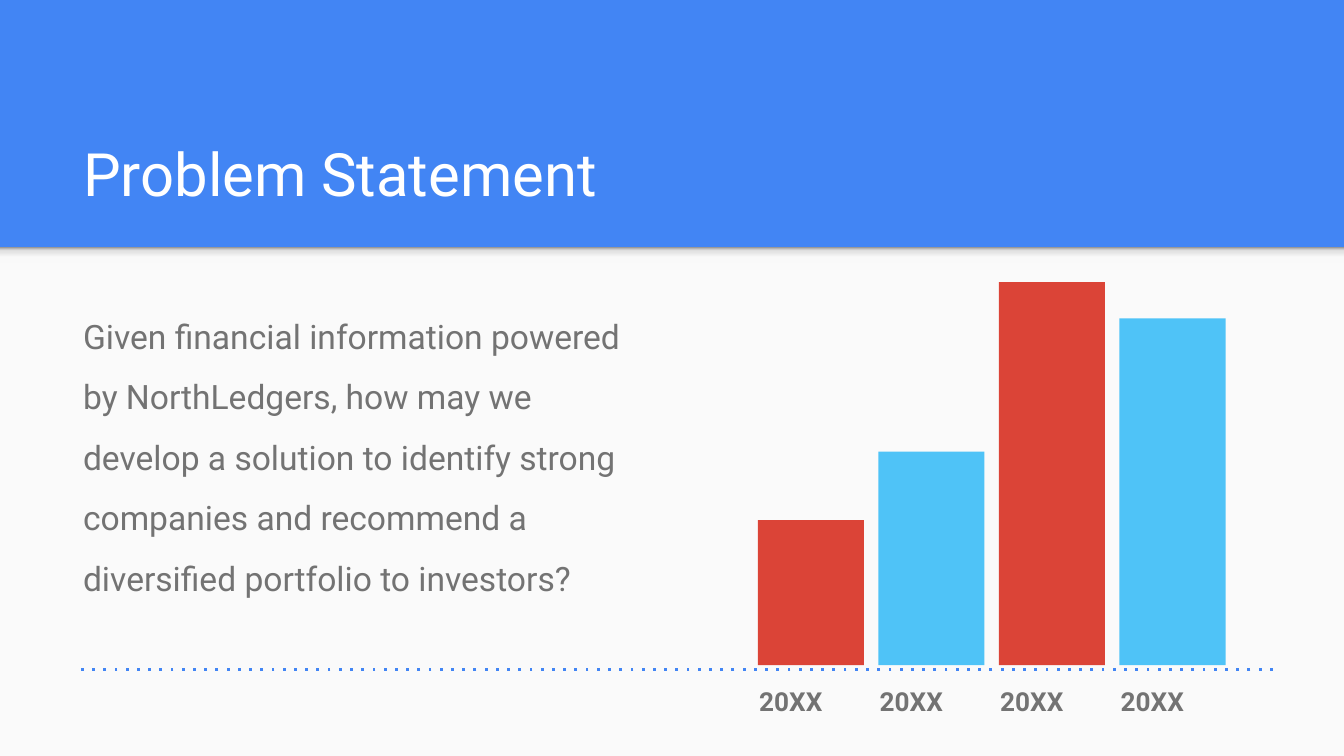
import pptx
import pptx.dml.color
import pptx.enum.dml
import pptx.enum.shapes
import pptx.enum.text
import pptx.oxml.ns
import pptx.util
from lxml import etree

WIDE = pptx.util.Inches(10)
HIGH = WIDE * 9 // 16
BLUE, RED, SKY = "4285F4", "DB4437", "4FC3F7"
PALE, GREY, WHITE = "FAFAFA", "737373", "FFFFFF"
SHADE = [(0, "F9F9F9"), (36, "F9F9F9"), (80, "DEDEDE"), (100, "999999")]
PLAIN = "{2D5ABB26-0587-4C30-8999-92F81FD0307C}"  # table style without grid

# Percent of the slide's width or height
LEFT, RIGHT, SPLIT = 5.2, 94.7, 32.71
BASE, AXIS = 88, 88.53
FIRST, STEP, BAR = 56.38, 8.97, 7.9
BARS = [("20XX", 19.2, RED), ("20XX", 28.27, SKY),
        ("20XX", 50.67, RED), ("20XX", 45.87, SKY)]

qn = pptx.oxml.ns.qn


def across(share):
    return round(WIDE * share / 100)


def down(share):
    return round(HIGH * share / 100)


def area(x, y, w, h):
    return across(x), down(y), across(w), down(h)


def color(code):
    return pptx.dml.color.RGBColor.from_string(code)


def write(frame, text, size=18, ink=GREY, bold=False, space=1.0, after=0):
    para = frame.paragraphs[0]
    para.line_spacing = space
    para.space_after = pptx.util.Pt(after)
    run = para.add_run()
    run.text = text
    run.font.name = "Roboto"
    run.font.size = pptx.util.Pt(size)
    run.font.bold = bold
    run.font.color.rgb = color(ink)


def pad(item):
    """Give a frame or a cell equal margins on all sides."""
    for side in ("left", "top", "right", "bottom"):
        setattr(item, "margin_" + side, pptx.util.Inches(0.1))


def add_text(slide, box, text, anchor="TOP", **form):
    frame = slide.shapes.add_textbox(*area(*box)).text_frame
    frame.word_wrap = True
    frame.vertical_anchor = pptx.enum.text.MSO_ANCHOR[anchor]
    pad(frame)
    write(frame, text, **form)


def add_block(slide, box, fill):
    kind = pptx.enum.shapes.MSO_SHAPE.RECTANGLE
    shape = slide.shapes.add_shape(kind, *area(*box))
    shape.shadow.inherit = False
    shape.line.fill.background()
    shape.fill.solid()
    shape.fill.fore_color.rgb = color(fill)
    return shape


def add_shade(slide, box):
    """Add the soft shadow under the header, dark at its top."""
    shape = add_block(slide, box, WHITE)
    shape.fill.gradient()
    shape.fill.gradient_angle = 90
    stops = next(shape._element.iter(qn("a:gsLst")))
    for stop in list(stops):
        stops.remove(stop)
    for pos, code in SHADE:
        stop = etree.SubElement(stops, qn("a:gs"), pos=str(pos * 1000))
        etree.SubElement(stop, qn("a:srgbClr"), val=code)


def add_years(slide):
    box = area(FIRST - 0.9, AXIS, STEP * len(BARS), 4.62)
    table = slide.shapes.add_table(1, len(BARS), *box).table
    table.first_row = table.horz_banding = False
    next(table._tbl.iter(qn("a:tableStyleId"))).text = PLAIN
    for cell, (year, _, _) in zip(table.iter_cells(), BARS):
        cell.fill.background()
        pad(cell)
        write(cell.text_frame, year, size=14, bold=True, space=1.15)


def add_bars(slide):
    for i, (_, tall, fill) in enumerate(BARS):
        add_block(slide, (FIRST + i * STEP, BASE - tall, BAR, tall), fill)


def add_axis(slide):
    kind = pptx.enum.shapes.MSO_CONNECTOR.STRAIGHT
    line = slide.shapes.add_connector(
        kind, across(RIGHT), down(AXIS), across(5.6), down(AXIS))
    line.line.color.rgb = color(BLUE)
    line.line.width = pptx.util.Pt(1.5)
    line.line.dash_style = pptx.enum.dml.MSO_LINE.ROUND_DOT
    next(line._element.iter(qn("a:prstDash"))).set("val", "dot")
    etree.SubElement(line._element.spPr, qn("a:effectLst"))


def main():
    deck = pptx.Presentation()
    deck.slide_width, deck.slide_height = WIDE, HIGH
    slide = deck.slides.add_slide(deck.slide_layouts[6])
    slide.background.fill.solid()
    slide.background.fill.fore_color.rgb = color(BLUE)

    add_block(slide, (0, SPLIT, 100, 100 - SPLIT), PALE)
    add_shade(slide, (0, SPLIT, 100, 2.13))
    add_text(slide, (LEFT, 14.4, 89.9, 14.93), "Problem Statement",
             anchor="BOTTOM", size=32, ink=WHITE)
    add_text(slide, (LEFT, 37.33, 43.7, 52.62),
             "Given financial information powered by NorthLedgers, how may "
             "we develop a solution to identify strong companies and "
             "recommend a diversified portfolio to investors?",
             space=1.5, after=16)
    add_years(slide)
    add_bars(slide)
    add_axis(slide)
    deck.save("out.pptx")


if __name__ == "__main__":
    main()
